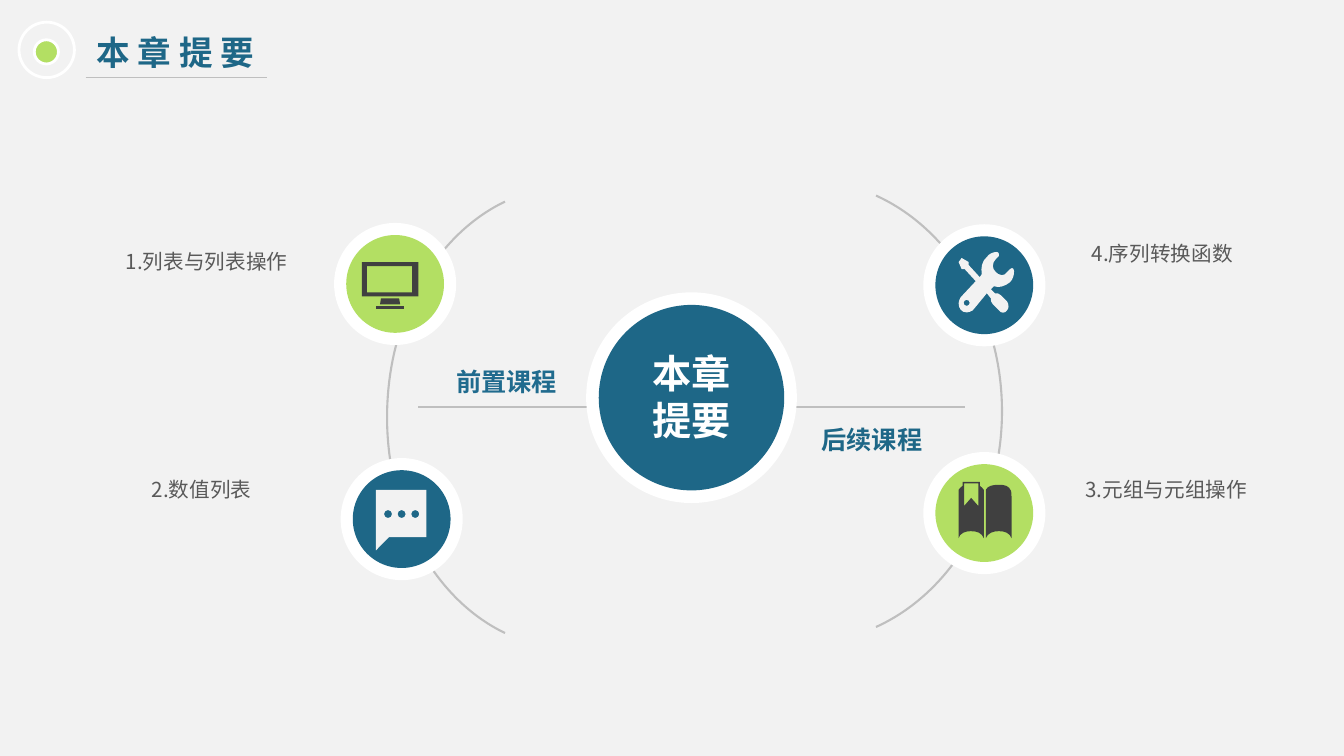
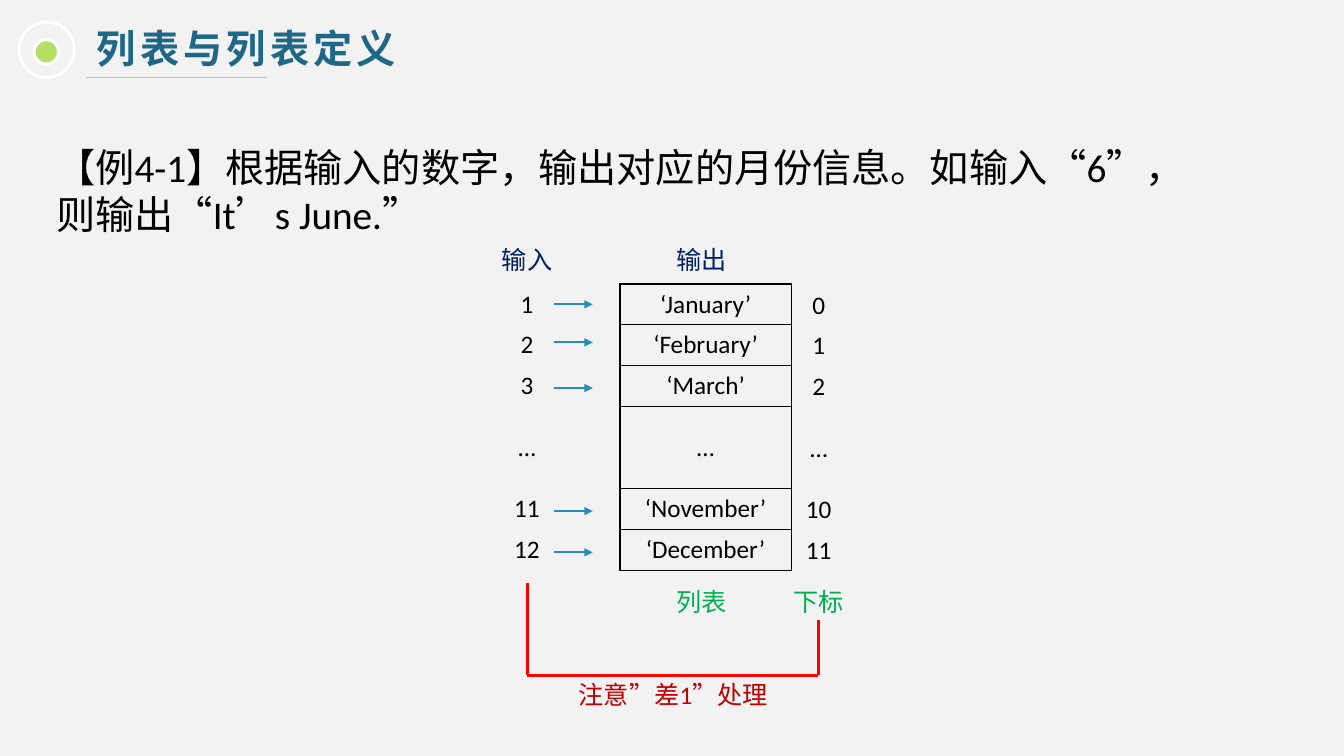
from dataclasses import dataclass
from typing import Optional

from lxml.etree import SubElement
from pptx import Presentation
from pptx.dml.color import RGBColor
from pptx.enum.shapes import MSO_CONNECTOR as Connector, MSO_SHAPE as Shape
from pptx.enum.text import MSO_ANCHOR as Anchor, MSO_AUTO_SIZE as AutoSize, PP_ALIGN as Align
from pptx.oxml.ns import qn
from pptx.util import Emu, Inches, Pt

CELL = Inches(0.1)
COLUMNS, ROWS = 133.33, 75

BLUE, GREEN, WHITE, PAPER = "1E6787", "B3DF63", "FFFFFF", "F2F2F2"
GREY, DARK, BODY, BLACK = "BFBFBF", "404040", "595959", "000000"
NAVY, LEAF, RED, CRIMSON, ARROW = "002060", "00B050", "FF0000", "C00000", "258DBC"
CJK, LATIN = "Noto Sans CJK SC", "Calibri"

Box = tuple[float, float, float, float]
Contour = list[tuple[float, ...]]


@dataclass(frozen=True)
class Style:
    size: float
    color: str
    font: str = LATIN
    bold: bool = False
    tracking: float = 0
    align: Align = Align.CENTER
    leading: Optional[float] = None


@dataclass(frozen=True)
class Topic:
    label: str
    label_at: tuple[float, float]
    center: tuple[float, float]
    color: str


@dataclass(frozen=True)
class Icon:
    color: str
    contours: list[Contour]


@dataclass(frozen=True)
class Column:
    left: float
    top: float
    width: float
    entries: list[str]
    border: Optional[str] = None


def frame(left: float, top: float, width: float, height: float) -> Contour:
    right, bottom = left + width, top + height
    return [(left, top), (right, top), (right, bottom), (left, bottom)]


def ring(x: float, y: float, radius: float) -> Contour:
    k = 0.55 * radius
    left, right, top, bottom = x - radius, x + radius, y - radius, y + radius
    return [(x, top), (x + k, top, right, y - k, right, y), (right, y + k, x + k, bottom, x, bottom),
            (x - k, bottom, left, y + k, left, y), (left, y - k, x - k, top, x, top)]


TOPICS = [
    Topic("1.列表与列表操作", (9.85, 24), (39.2, 28.17), GREEN),
    Topic("2.数值列表", (9.35, 46.6), (39.85, 51.5), BLUE),
    Topic("3.元组与元组操作", (105.05, 46.6), (97.65, 50.9), GREEN),
    Topic("4.序列转换函数", (104.65, 23.2), (97.65, 28.3), BLUE),
]

ARCS: list[Contour] = [
    [(50.1, 62.8), (43.2, 59.5, 38.4, 51.1, 38.4, 41.4), (38.4, 31.6, 43.2, 23.3, 50.1, 20)],
    [(86.9, 62.2), (94.2, 58.9, 99.4, 50.6, 99.4, 40.8), (99.4, 31.1, 94.2, 22.7, 86.9, 19.4)],
]

LEFT_PAGE: Contour = [
    (95.1, 53.4), (95.2, 52.9, 95.8, 52.7, 96.3, 52.7), (97, 52.7, 97.4, 52.9, 97.6, 53.4),
    (97.6, 48.6), (97.5, 48.5, 97.4, 48.3, 97.2, 48.2), (97.2, 47.8), (95.5, 47.8),
    (95.5, 48.2), (95.3, 48.3, 95.2, 48.5, 95.1, 48.6),
]
RIGHT_PAGE: Contour = [
    (97.8, 53.4), (98, 52.9, 98.5, 52.7, 99.1, 52.7), (99.7, 52.7, 100.2, 52.9, 100.35, 53.4),
    (100.35, 49.3), (100.35, 49.1, 100.35, 48.8, 100.3, 48.7),
    (100.1, 48.2, 99.7, 48.1, 99.1, 48.1), (98.5, 48.1, 98, 48.2, 97.8, 48.6),
]
BOOKMARK: Contour = [(95.65, 47.95), (97.05, 47.95), (97.05, 50.2), (96.35, 49.4), (95.65, 50.2)]
BUBBLE: Contour = [(37.3, 54.6), (38.6, 53.3), (42.3, 53.3), (42.3, 48.6), (37.3, 48.6)]
TOOLS: Contour = [
    (95.1, 30.1), (95.1, 30.6, 95.4, 31, 95.9, 31), (96.1, 31, 96.3, 30.9, 96.5, 30.8),
    (97.9, 29.1), (98.3, 29.6), (98.3, 29.8, 98.3, 30, 98.5, 30.2), (99.1, 30.8),
    (99.3, 31.1, 99.7, 31.1, 99.9, 30.8), (100.1, 30.6, 100.1, 30.2, 99.9, 29.9),
    (99.3, 29.3), (99.2, 29.1, 98.9, 29.1, 98.7, 29.1), (98.3, 28.7), (98.6, 28.4),
    (99.1, 28.6, 99.7, 28.4, 100.2, 28), (100.5, 27.7, 100.6, 27.3, 100.6, 26.9),
    (100.6, 26.7, 100.5, 26.6, 100.4, 26.6), (100.3, 26.6, 100.3, 26.6, 100.2, 26.7),
    (99.9, 27), (99.8, 27.2, 99.6, 27.3, 99.4, 27.3), (99.1, 27.3, 98.9, 27.1, 98.8, 27),
    (98.6, 26.8, 98.5, 26.6, 98.5, 26.4), (98.5, 26.1, 98.6, 25.9, 98.8, 25.7),
    (99.1, 25.4), (99.1, 25.4, 99.1, 25.3, 99.1, 25.2), (99.1, 25.1, 99, 25, 98.9, 25),
    (98.5, 25, 98.1, 25.2, 97.9, 25.5), (97.4, 25.9, 97.3, 26.6, 97.4, 27.2), (97.2, 27.5),
    (96.1, 26.3), (96.1, 26), (95.4, 25.6), (95.1, 26), (95.4, 26.7), (95.7, 26.7),
    (96.8, 27.9), (95.3, 29.5), (95.2, 29.7, 95.1, 29.9, 95.1, 30.1),
]
ICONS = [
    Icon(DARK, [[(37.8, 29.6), (37.7, 30.2), (39.7, 30.2), (39.6, 29.6)]]),
    Icon(DARK, [frame(35.9, 26, 5.6, 3.4), frame(36.4, 26.4, 4.5, 2.6)]),
    Icon(DARK, [frame(37.3, 30.4, 2.8, 0.3)]),
    Icon(PAPER, [BUBBLE, *(ring(38.5 + 1.35 * dot, 51, 0.4) for dot in range(3))]),
    Icon(DARK, [LEFT_PAGE, BOOKMARK]),
    Icon(DARK, [RIGHT_PAGE]),
    Icon(PAPER, [TOOLS, ring(95.9, 30.05, 0.3)]),
]

ROW_HEIGHTS = [4.06, 4.06, 4.06, 8.12, 4.06, 4.06]
MONTH_COLUMNS = [
    Column(47.13, 28.17, 10.3, ["1", "2", "3", "…", "11", "12"]),
    Column(61.5, 28.17, 17, ["‘January’", "‘February’", "‘March’", "…", "‘November’", "‘December’"], BLACK),
    Column(78.67, 28.27, 5.1, ["0", "1", "2", "…", "10", "11"]),
]
ARROW_ROWS = [30.2, 33.97, 38.5, 50.7, 54.8]
CAPTIONS = [
    ("输入", (46.6, 23.9, 11.4, 3.7), NAVY),
    ("输出", (63.9, 23.9, 11.4, 3.7), NAVY),
    ("列表", (63.9, 57.85, 11.4, 3.7), LEAF),
    ("下标", (75.5, 57.8, 11.4, 3.7), LEAF),
    ("注意”差1”处理", (54.9, 66.8, 23.8, 4.1), CRIMSON),
]
BRACKET = [(52.3, 57.8, 52.3, 67), (81.2, 61.5, 81.2, 67), (52.3, 67, 81.2, 67)]


def grid(cells: float) -> Emu:
    return Emu(round(cells * CELL))


def rgb(color: str) -> RGBColor:
    return RGBColor.from_string(color)


def write(text_frame, lines: list[str], style: Style) -> None:
    text_frame.word_wrap = True
    text_frame.auto_size = AutoSize.NONE
    for index, line in enumerate(lines):
        paragraph = text_frame.add_paragraph() if index else text_frame.paragraphs[0]
        paragraph.alignment = style.align
        if style.leading:
            paragraph.line_spacing = Pt(style.leading)
        run = paragraph.add_run()
        run.text = line
        run.font.size = Pt(style.size)
        run.font.bold = style.bold
        run.font.color.rgb = rgb(style.color)
        run.font.name = style.font
        properties = run._r.get_or_add_rPr()
        SubElement(properties, qn("a:ea")).set("typeface", CJK)
        if style.tracking:
            properties.set("spc", str(round(style.tracking * 100)))


def add_text(slide, box: Box, lines: list[str], style: Style, anchor: Anchor = Anchor.MIDDLE) -> None:
    text_frame = slide.shapes.add_textbox(*map(grid, box)).text_frame
    text_frame.vertical_anchor = anchor
    write(text_frame, lines, style)


def paint(shape, fill: Optional[str], line: Optional[str] = None, weight: float = 0) -> None:
    shape.shadow.inherit = False
    if fill:
        shape.fill.solid()
        shape.fill.fore_color.rgb = rgb(fill)
    else:
        shape.fill.background()
    if line:
        shape.line.color.rgb = rgb(line)
        shape.line.width = Pt(weight)
    else:
        shape.line.fill.background()


def add_disc(slide, center: tuple[float, float], diameter: float, fill: Optional[str],
             line: Optional[str] = None, weight: float = 0) -> None:
    left, top = (axis - diameter / 2 for axis in center)
    disc = slide.shapes.add_shape(Shape.OVAL, *map(grid, (left, top, diameter, diameter)))
    paint(disc, fill, line, weight)


def add_outline(slide, contours: list[Contour], fill: Optional[str],
                line: Optional[str] = None, weight: float = 0) -> None:
    anchors = [[(grid(segment[-2]), grid(segment[-1])) for segment in contour] for contour in contours]
    builder = slide.shapes.build_freeform(*anchors[0][0])
    for index, (start, *rest) in enumerate(anchors):
        if index:
            builder.move_to(*start)
        builder.add_line_segments(rest, close=fill is not None)
    outline = builder.convert_to_shape()
    paint(outline, fill, line, weight)
    strokes = list(outline._element.iter(qn("a:moveTo"), qn("a:lnTo")))
    segments = [segment for contour in contours for segment in contour]
    for stroke, segment in zip(strokes, segments):
        if len(segment) == 6:
            stroke.tag = qn("a:cubicBezTo")
            for index in (0, 1):
                handle = SubElement(stroke, qn("a:pt"))
                handle.set("x", str(grid(segment[2 * index]) - outline.left))
                handle.set("y", str(grid(segment[2 * index + 1]) - outline.top))
                stroke.insert(index, handle)


def add_line(slide, ends: Box, color: str, weight: float, arrow: bool = False) -> None:
    connector = slide.shapes.add_connector(Connector.STRAIGHT, *map(grid, ends))
    connector.line.color.rgb = rgb(color)
    connector.line.width = Pt(weight)
    if arrow:
        SubElement(connector.line._get_or_add_ln(), qn("a:tailEnd")).set("type", "triangle")
    SubElement(connector._element.spPr, qn("a:effectLst"))


def add_titled_slide(deck, title: str, box: Box, style: Style):
    slide = deck.slides.add_slide(deck.slide_layouts[5])
    slide.background.fill.solid()
    slide.background.fill.fore_color.rgb = rgb(PAPER)
    heading = slide.shapes.title
    heading.left, heading.top, heading.width, heading.height = map(grid, box)
    heading.text_frame.vertical_anchor = Anchor.MIDDLE
    write(heading.text_frame, [title], style)
    add_disc(slide, (4.6, 5.15), 2.4, GREEN, WHITE, 2)
    add_disc(slide, (4.63, 4.95), 5.5, None, WHITE, 2)
    add_line(slide, (8.5, 7.7, 26.5, 7.7), GREY, 0.75)
    return slide


def add_column(slide, column: Column) -> None:
    box = (column.left, column.top, column.width, sum(ROW_HEIGHTS))
    table = slide.shapes.add_table(len(ROW_HEIGHTS), 1, *map(grid, box)).table
    table.first_row = table.horz_banding = False
    for row, height, entry in zip(table.rows, ROW_HEIGHTS, column.entries):
        row.height = grid(height)
        cell = row.cells[0]
        cell.vertical_anchor = Anchor.MIDDLE
        cell.margin_left = cell.margin_right = 0
        write(cell.text_frame, [entry], Style(18, BLACK))
        properties = cell._tc.get_or_add_tcPr()
        for side in ("lnL", "lnR", "lnT", "lnB"):
            edge = SubElement(properties, qn(f"a:{side}"), w=str(Pt(1)))
            if column.border:
                ink = SubElement(edge, qn("a:solidFill"))
                SubElement(ink, qn("a:srgbClr")).set("val", column.border)
            else:
                SubElement(edge, qn("a:noFill"))
        cell.fill.background()


def build_overview(deck) -> None:
    slide = add_titled_slide(deck, "本 章 提 要", (8.6, 2.7, 19.1, 5),
                             Style(24, BLUE, CJK, True, align=Align.LEFT))
    for arc in ARCS:
        add_outline(slide, [arc], None, GREY, 1.5)
    add_line(slide, (41.5, 40.4, 95.7, 40.4), GREY, 1.5)
    hub = (68.6, 39.45)
    add_disc(slide, hub, 20.9, WHITE)
    add_disc(slide, hub, 18.4, BLUE)
    add_text(slide, (62.6, 34.1, 12, 10.4), ["本章", "提要"], Style(28, WHITE, CJK, True, leading=33.6))
    for topic in TOPICS:
        add_disc(slide, topic.center, 11.8, WHITE, WHITE, 2.25)
        add_disc(slide, topic.center, 9.7, topic.color)
        add_text(slide, (*topic.label_at, 21.3, 3.9), [topic.label], Style(14.7, BODY, CJK))
    add_text(slide, (43.5, 35.8, 13.5, 4), ["前置课程"], Style(18, "206B8E", CJK, True))
    add_text(slide, (79.55, 41.6, 13.9, 4), ["后续课程"], Style(18, BLUE, CJK, True))
    for icon in ICONS:
        add_outline(slide, icon.contours, icon.color)


def build_months(deck) -> None:
    slide = add_titled_slide(deck, "列表与列表定义", (8.6, 1.9, 68.4, 5.7),
                             Style(28, BLUE, CJK, True, 3, Align.LEFT))
    add_text(slide, (4.6, 13.7, 115, 57.3),
             ["【例4-1】根据输入的数字，输出对应的月份信息。如输入“6”，则输出“It’s June.”"],
             Style(28, BLACK, align=Align.LEFT, leading=33.6), Anchor.TOP)
    for column in MONTH_COLUMNS:
        add_column(slide, column)
    for row in ARROW_ROWS:
        add_line(slide, (54.95, row, 58.8, row), ARROW, 1.5, arrow=True)
    for caption, box, color in CAPTIONS:
        add_text(slide, box, [caption], Style(18, color))
    for ends in BRACKET:
        add_line(slide, ends, RED, 2.25)


def main() -> None:
    deck = Presentation()
    deck.slide_width, deck.slide_height = grid(COLUMNS), grid(ROWS)
    build_overview(deck)
    build_months(deck)
    deck.save("out.pptx")


if __name__ == "__main__":
    main()
